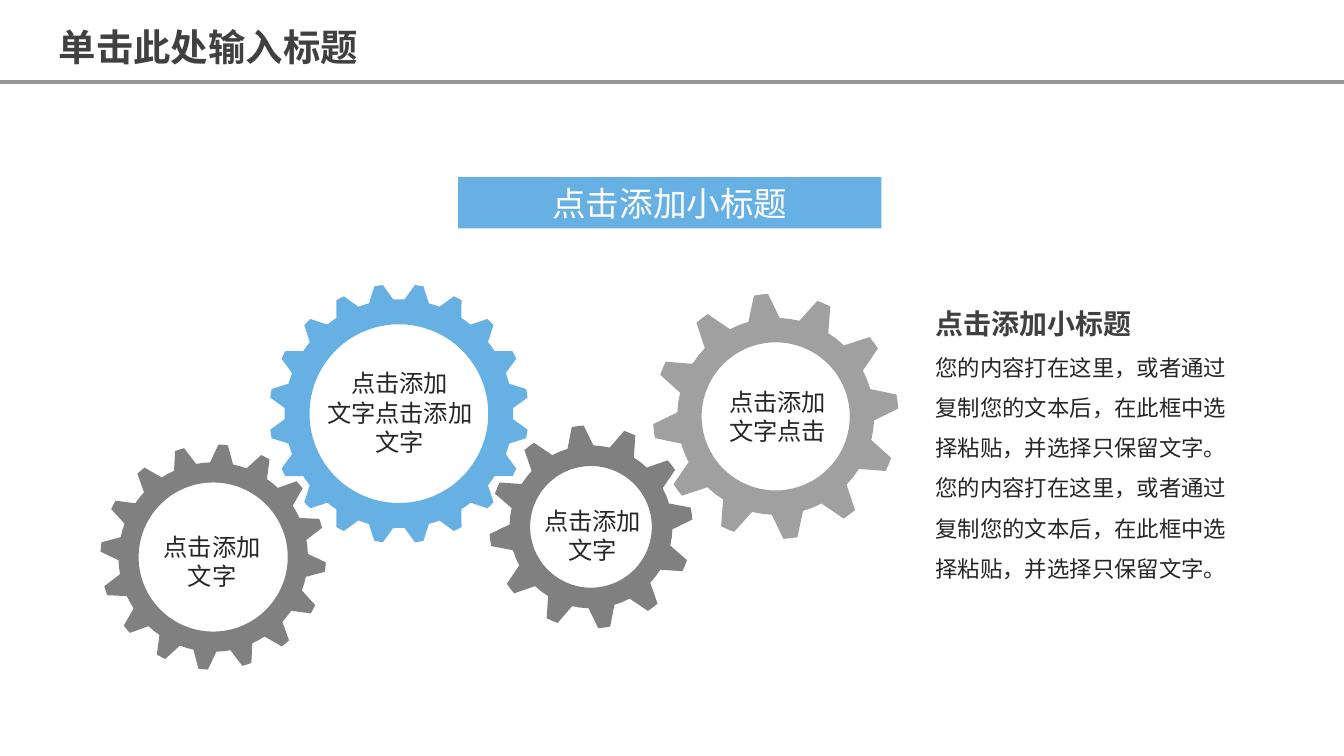
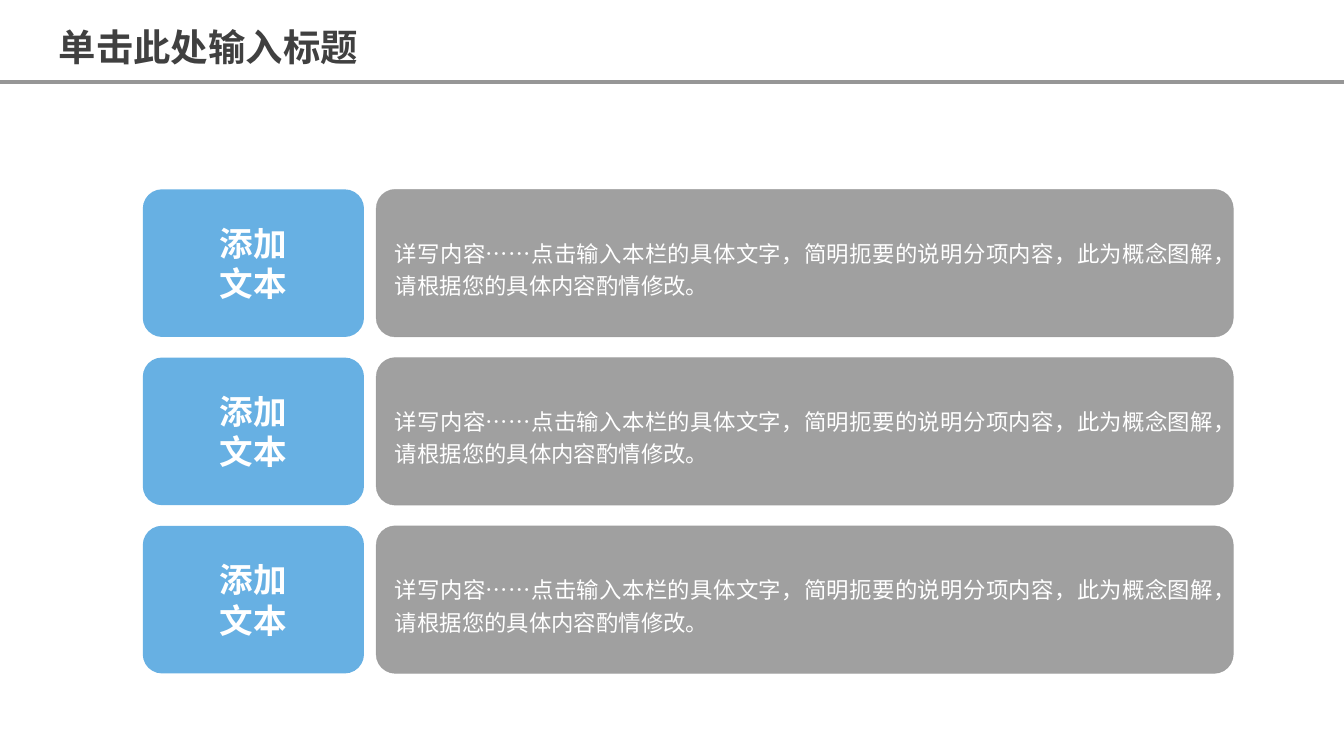
"""Build two slides: a train of gears and a list of labelled rows."""
import math
from dataclasses import dataclass

from lxml import etree
from pptx import Presentation
from pptx import util as u
from pptx.dml import color
from pptx.enum import shapes, text
from pptx.oxml import ns

FONT = "Noto Sans CJK SC"
COLORS = {
    "blue": "67B0E3",
    "dark_gray": "808080",
    "light_gray": "A0A0A0",
    "rule": "969696",
    "heading": "404040",
    "body": "262626",
    "white": "FFFFFF",
}
SLIM_INSETS = (0.18, 0.1, 0.18, 0.1)
BODY = "您的内容打在这里，或者通过复制您的文本后，在此框中选择粘贴，并选择只保留文字。"
DETAIL = "详写内容……点击输入本栏的具体文字，简明扼要的说明分项内容，此为概念图解，请根据您的具体内容酌情修改。"


@dataclass(frozen=True)
class Area:
    left: float
    top: float
    width: float
    height: float

    def lengths(self) -> tuple:
        return tuple(u.Cm(v) for v in (self.left, self.top, self.width, self.height))


@dataclass(frozen=True)
class Style:
    size: float
    color: str
    bold: bool = False
    align: text.PP_ALIGN = text.PP_ALIGN.LEFT
    spacing: float = 1.0


@dataclass(frozen=True)
class Gear:
    x: float
    y: float
    outer: float
    root: float
    hole: float
    teeth: int
    first_angle: float
    tip_half: float
    base_half: float
    color: str
    label: str
    label_area: Area


TITLE = Style(20, "heading", True, spacing=1.2)
BANNER = Style(18, "white", align=text.PP_ALIGN.CENTER)
GEAR_LABEL = Style(13, "body", align=text.PP_ALIGN.CENTER)
SUBHEADING = Style(15, "heading", True, spacing=1.5)
BODY_TEXT = Style(12, "body", spacing=1.5)
ROW_LABEL = Style(18, "white", True, text.PP_ALIGN.CENTER)
ROW_DETAIL = Style(12, "white", align=text.PP_ALIGN.JUSTIFY, spacing=1.2)

GEARS = (
    Gear(7.54, 7.82, 2.45, 2.16, 1.69, 20, 9, 1.9, 6.2, "blue",
         "点击添加\n文字点击添加\n文字", Area(5.89, 6.83, 3.33, 1.93)),
    Gear(11.17, 9.96, 1.92, 1.54, 1.15, 12, -7.5, 3.4, 9.2, "dark_gray",
         "点击添加\n文字", Area(10.03, 9.45, 2.34, 1.35)),
    Gear(4.03, 10.53, 2.13, 1.79, 1.41, 16, 5.1, 2.4, 7, "dark_gray",
         "点击添加\n文字", Area(2.84, 9.93, 2.34, 1.35)),
    Gear(14.66, 7.87, 2.32, 1.86, 1.4, 12, -6.9, 3.3, 9.2, "light_gray",
         "点击添加\n文字点击", Area(13.03, 7.19, 3.33, 1.35)),
)


def rgb(name: str) -> color.RGBColor:
    return color.RGBColor.from_string(COLORS[name])


def write_text(shape, content: str, styles: tuple, anchor=text.MSO_ANCHOR.TOP,
               insets: tuple = (0.25, 0.13, 0.25, 0.13)) -> None:
    frame = shape.text_frame
    frame.text = content
    frame.word_wrap = True
    frame.vertical_anchor = anchor
    (frame.margin_left, frame.margin_top,
     frame.margin_right, frame.margin_bottom) = (u.Cm(v) for v in insets)
    for index, para in enumerate(frame.paragraphs):
        style = styles[min(index, len(styles) - 1)]
        para.alignment = style.align
        para.line_spacing = style.spacing
        for span in para.runs:
            span.font.name = FONT
            span.font.size = u.Pt(style.size)
            span.font.bold = style.bold
            span.font.color.rgb = rgb(style.color)
    for latin in shape.element.iter(ns.qn("a:latin")):
        latin.addnext(etree.Element(ns.qn("a:ea"), typeface=FONT))


def paint(shape, fill: str) -> None:
    shape.shadow.inherit = False
    shape.fill.solid()
    shape.fill.fore_color.rgb = rgb(fill)
    shape.line.fill.background()


def add_text(page, area: Area, content: str, *styles: Style, **layout):
    box = page.shapes.add_textbox(*area.lengths())
    write_text(box, content, styles, **layout)
    box.text_frame.auto_size = text.MSO_AUTO_SIZE.SHAPE_TO_FIT_TEXT


def add_panel(page, kind, area: Area, fill: str):
    panel = page.shapes.add_shape(kind, *area.lengths())
    paint(panel, fill)
    return panel


def add_page(deck):
    page = deck.slides.add_slide(deck.slide_layouts[6])
    rule = page.shapes.add_connector(
        shapes.MSO_CONNECTOR.STRAIGHT, 0, u.Cm(1.55), deck.slide_width, u.Cm(1.55))
    rule.line.color.rgb = rgb("rule")
    rule.line.width = u.Pt(1.75)
    etree.SubElement(rule.element.spPr, ns.qn("a:effectLst"))
    add_text(page, Area(0.86, 0.15, 6.63, 1.27), "单击此处输入标题", TITLE)
    return page


def polar(gear: Gear, radius: float, degrees: float) -> tuple:
    angle = math.radians(degrees)
    return (u.Cm(gear.x + radius * math.sin(angle)),
            u.Cm(gear.y - radius * math.cos(angle)))


def add_gear(page, gear: Gear) -> None:
    pitch = 360 / gear.teeth
    profile = (
        (gear.root, -gear.base_half),
        (gear.outer, -gear.tip_half),
        (gear.outer, 0),
        (gear.outer, gear.tip_half),
        (gear.root, gear.base_half),
        (gear.root, pitch / 2),
    )
    rim = [polar(gear, radius, gear.first_angle + tooth * pitch + offset)
           for tooth in range(gear.teeth) for radius, offset in profile]
    hole = [polar(gear, gear.hole, degrees) for degrees in range(0, 360, 4)]
    builder = page.shapes.build_freeform(*hole[0], scale=1.0)
    builder.add_line_segments(hole[1:], close=True)
    builder.move_to(*rim[0])
    builder.add_line_segments(rim[1:], close=True)
    paint(builder.convert_to_shape(), gear.color)


def build_gear_page(deck) -> None:
    page = add_page(deck)
    for gear in GEARS:
        add_text(page, gear.label_area, gear.label, GEAR_LABEL,
                 anchor=text.MSO_ANCHOR.MIDDLE, insets=SLIM_INSETS)
    add_text(page, Area(17.5, 5.38, 5.97, 5.77),
             "\n".join(("点击添加小标题", BODY, BODY)),
             SUBHEADING, BODY_TEXT, insets=SLIM_INSETS)
    for gear in GEARS:
        add_gear(page, gear)
    banner = add_panel(page, shapes.MSO_SHAPE.RECTANGLE, Area(8.66, 3.35, 8, 0.97), "blue")
    write_text(banner, "点击添加小标题", (BANNER,), text.MSO_ANCHOR.MIDDLE, SLIM_INSETS)


def add_row(page, top: float) -> None:
    kind = shapes.MSO_SHAPE.ROUNDED_RECTANGLE
    label = add_panel(page, kind, Area(2.7, top, 4.18, 2.79), "blue")
    detail = add_panel(page, kind, Area(7.11, top, 16.2, 2.79), "light_gray")
    for panel in (label, detail):
        panel.adjustments[0] = 0.13
    detail.line.color.rgb = rgb("rule")
    detail.line.width = u.Pt(0.25)
    stroke = detail.element.spPr.find(ns.qn("a:ln")).find(".//" + ns.qn("a:srgbClr"))
    etree.SubElement(stroke, ns.qn("a:alpha"), val="68000")
    write_text(label, "添加\n文本", (ROW_LABEL,), text.MSO_ANCHOR.MIDDLE)
    write_text(detail, DETAIL, (ROW_DETAIL,), insets=(0.25, 0.75, 0.25, 0.13))


def build_row_page(deck) -> None:
    page = add_page(deck)
    for index in range(3):
        add_row(page, 3.58 + index * 3.18)


def main() -> None:
    deck = Presentation()
    deck.slide_width, deck.slide_height = u.Cm(25.4), u.Cm(14.29)
    build_gear_page(deck)
    build_row_page(deck)
    deck.save("out.pptx")


if __name__ == "__main__":
    main()
